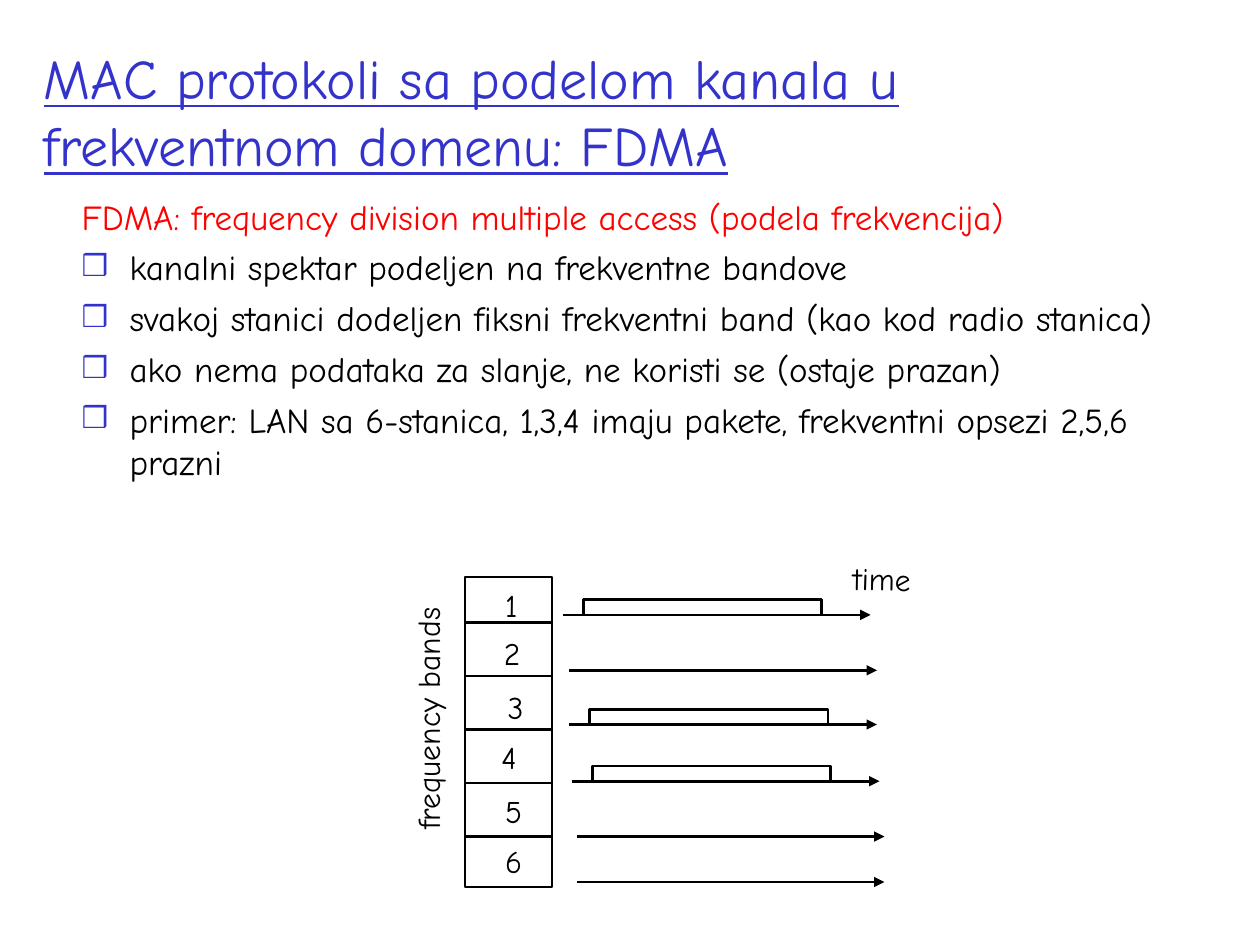
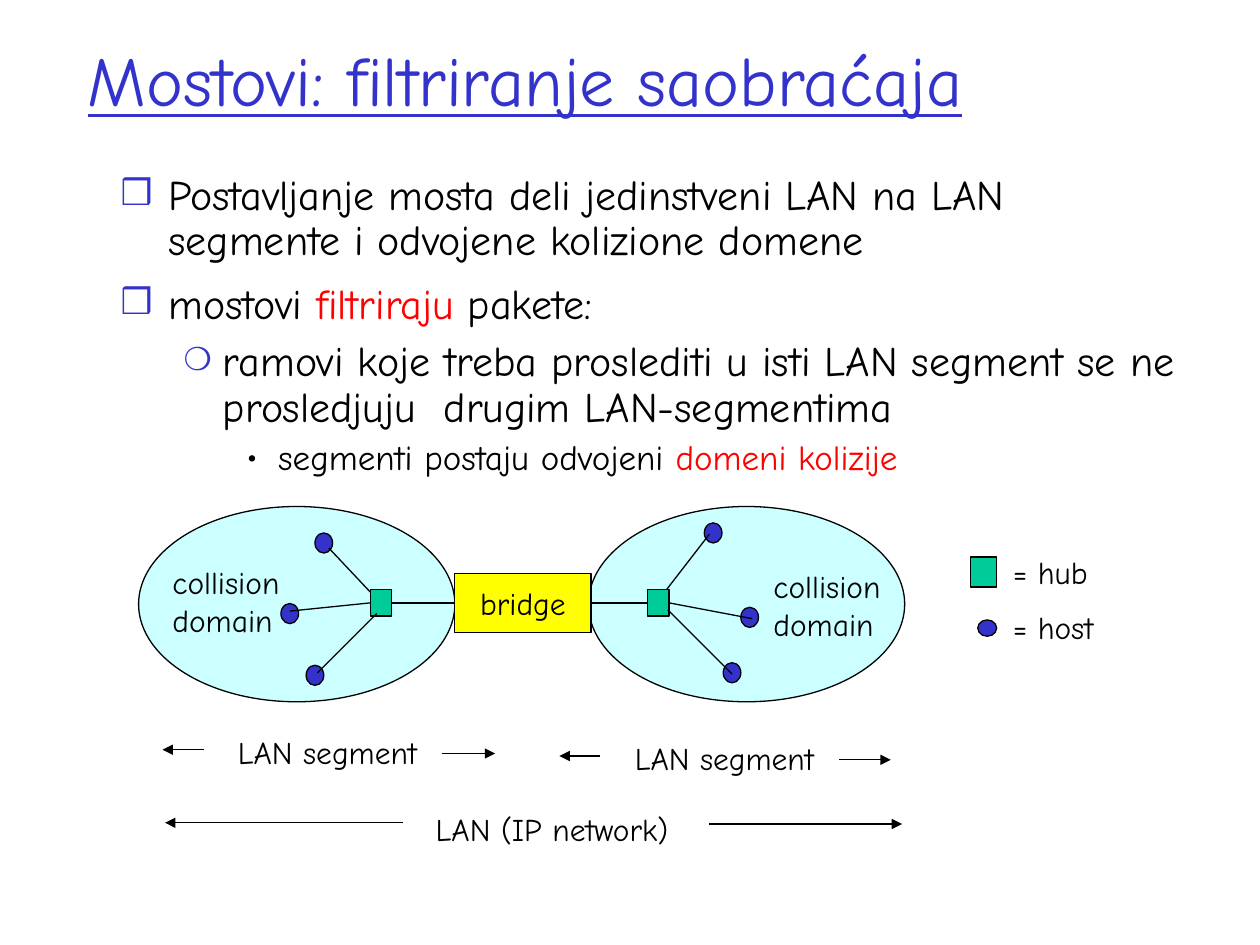
from dataclasses import dataclass

from lxml.etree import SubElement
from pptx import Presentation
from pptx.dml.color import RGBColor
from pptx.enum.shapes import MSO_CONNECTOR as Connector, MSO_SHAPE as Preset
from pptx.enum.text import MSO_ANCHOR as Anchor, MSO_AUTO_SIZE as AutoSize, PP_ALIGN as Align
from pptx.oxml.ns import qn
from pptx.util import Inches, Pt

FONT = "Comic Neue"
COLORS = {
    "blue": "3333CC", "red": "FF0000", "black": "000000", "white": "FFFFFF",
    "domain": "CCFFFF", "bridge": "FFFF00", "hub": "00CC99",
}
THIN, THICK = 0.75, 1.5
LABEL_SIZE = 18


@dataclass(frozen=True)
class Bullet:
    char: str
    color: str
    percent: int
    margin: float
    indent: float


@dataclass(frozen=True)
class Paragraph:
    runs: tuple[tuple[str, str], ...]
    size: float
    before: float
    bullet: Bullet | None
    level: int = 0
    spacing: float = 1.0


@dataclass(frozen=True)
class Band:
    number: str
    label_left: float
    label_top: float
    axis_left: float
    axis_y: float
    busy: bool


@dataclass(frozen=True)
class Spoke:
    """A host and the line that ties it to its hub."""
    host_left: float
    host_top: float
    hub_end: tuple[float, float]
    host_end: tuple[float, float]
    hub_side: int | None = None


@dataclass(frozen=True)
class Domain:
    left: float
    hub_left: float
    hub_side: int
    bridge_side: int
    label_left: float
    label_top: float
    spokes: tuple[Spoke, ...]


@dataclass(frozen=True)
class Extent:
    """A caption with an arrow leading away on each side."""
    text: str
    left: float
    top: float
    width: float
    left_arrow: tuple[float, float, float]
    right_arrow: tuple[float, float, float]


SQUARE = Bullet("❒", "blue", 85, 0.38, -0.38)
CIRCLE = Bullet("❍", "blue", 75, 0.81, -0.31)
DOT = Bullet("•", "black", 100, 1.25, -0.25)

FDMA_POINTS = (
    Paragraph((("FDMA: frequency division multiple access (podela frekvencija)", "red"),), 20, 5, None),
    *(Paragraph(((point, "black"),), 20, 5, SQUARE) for point in (
        "kanalni spektar podeljen na frekventne bandove",
        "svakoj stanici dodeljen fiksni frekventni band (kao kod radio stanica)",
        "ako nema podataka za slanje, ne koristi se (ostaje prazan)",
        "primer: LAN sa 6-stanica, 1,3,4 imaju pakete, frekventni opsezi 2,5,6 prazni",
    )),
)
BANDS = (
    Band("1", 3.91, 4.6, 4.47, 4.88, True),
    Band("2", 3.9, 4.98, 4.52, 5.32, False),
    Band("3", 3.93, 5.41, 4.52, 5.75, True),
    Band("4", 3.88, 5.81, 4.54, 6.2, True),
    Band("5", 3.91, 6.24, 4.58, 6.64, False),
    Band("6", 3.91, 6.63, 4.58, 7.0, False),
)

BRIDGE_POINTS = (
    Paragraph((("Postavljanje mosta deli jedinstveni LAN na LAN segmente i odvojene kolizione domene",
                "black"),), 24, 6, SQUARE, spacing=0.9),
    Paragraph((("mostovi ", "black"), ("filtriraju", "red"), (" pakete:", "black")),
              24, 10.5, SQUARE, spacing=0.9),
    Paragraph((("ramovi koje treba proslediti u isti LAN segment se ne prosledjuju  drugim LAN-segmentima",
                "black"),), 24, 7, CIRCLE, 1, 0.9),
    Paragraph((("segmenti postaju odvojeni ", "black"), ("domeni kolizije", "red")),
              20, 5, DOT, 2, 0.9),
)
DOMAINS = (
    Domain(1.1, 2.94, 3, 1, 1.27, 4.42, (
        Spoke(2.5, 4.23, (2.94, 4.7), (2.61, 4.35)),
        Spoke(2.23, 4.79, (2.94, 4.79), (2.3, 4.85), hub_side=1),
        Spoke(2.43, 5.28, (2.99, 4.87), (2.52, 5.34)),
    )),
    Domain(4.67, 5.14, 1, 3, 6.04, 4.45, (
        Spoke(5.59, 4.15, (5.29, 4.68), (5.63, 4.24)),
        Spoke(5.88, 4.82, (5.31, 4.78), (5.97, 4.91), hub_side=3),
        Spoke(5.74, 5.26, (5.3, 4.84), (5.81, 5.35)),
    )),
)
# Arrows are start x, end x, y
EXTENTS = (
    Extent("LAN (IP network)", 3.36, 6.38, 2.05, (3.2, 1.31, 6.53), (5.63, 7.16, 6.54)),
    Extent("LAN segment", 1.79, 5.77, 1.62, (1.62, 1.29, 5.95), (3.51, 3.93, 5.98)),
    Extent("LAN segment", 4.94, 5.82, 1.62, (4.76, 4.44, 6.0), (6.66, 7.07, 6.03)),
)


def rgb(color: str) -> RGBColor:
    return RGBColor.from_string(COLORS[color])


def add_run(paragraph, text: str, size: float, color: str = "black"):
    run = paragraph.add_run()
    run.text = text
    run.font.name, run.font.size = FONT, Pt(size)
    run.font.color.rgb = rgb(color)
    return run


def add_box(slide, left: float, top: float, width: float, height: float):
    return slide.shapes.add_textbox(Inches(left), Inches(top), Inches(width), Inches(height))


def add_title(slide, text: str, size: float, left: float, top: float, width: float) -> None:
    frame = add_box(slide, left, top, width, 1.25).text_frame
    frame.word_wrap = True
    frame.vertical_anchor = Anchor.MIDDLE
    add_run(frame.paragraphs[0], text, size, "blue").font.underline = True


def set_bullet(paragraph, bullet: Bullet) -> None:
    props = paragraph._p.get_or_add_pPr()
    color = SubElement(props, qn("a:buClr"))
    SubElement(color, qn("a:srgbClr"), val=COLORS[bullet.color])
    SubElement(props, qn("a:buSzPct"), val=str(bullet.percent * 1000))
    SubElement(props, qn("a:buFont"), typeface=FONT)
    SubElement(props, qn("a:buChar"), char=bullet.char)


def add_body(slide, points: tuple[Paragraph, ...], left: float, top: float,
             width: float, height: float) -> None:
    frame = add_box(slide, left, top, width, height).text_frame
    frame.word_wrap = True
    for index, point in enumerate(points):
        paragraph = frame.add_paragraph() if index else frame.paragraphs[0]
        paragraph.level = point.level
        paragraph.space_before = Pt(point.before)
        paragraph.line_spacing = point.spacing
        indents = point.bullet or SQUARE
        props = paragraph._p.get_or_add_pPr()
        props.set("marL", str(Inches(indents.margin)))
        props.set("indent", str(Inches(indents.indent)))
        if point.bullet:
            set_bullet(paragraph, point.bullet)
        for text, color in point.runs:
            add_run(paragraph, text, point.size, color)


def add_label(slide, lines: tuple[str, ...], left: float, top: float, width: float,
              rotation: float = 0) -> None:
    label = add_box(slide, left, top, width, 0.1 + 0.3 * len(lines))
    label.rotation = rotation
    frame = label.text_frame
    frame.word_wrap = False
    frame.auto_size = AutoSize.SHAPE_TO_FIT_TEXT
    for index, line in enumerate(lines):
        paragraph = frame.add_paragraph() if index else frame.paragraphs[0]
        add_run(paragraph, line, LABEL_SIZE)


def outline(shape, weight: float) -> None:
    shape.shadow.inherit = False
    shape.line.color.rgb = rgb("black")
    shape.line.width = Pt(weight)


def add_figure(slide, preset, fill: str, left: float, top: float, width: float,
               height: float, weight: float = THIN):
    figure = slide.shapes.add_shape(preset, Inches(left), Inches(top), Inches(width), Inches(height))
    figure.fill.solid()
    figure.fill.fore_color.rgb = rgb(fill)
    outline(figure, weight)
    return figure


def add_line(slide, start: tuple[float, float], end: tuple[float, float],
             weight: float = THIN, arrow: bool = False):
    line = slide.shapes.add_connector(Connector.STRAIGHT, *map(Inches, start + end))
    line.line.color.rgb = rgb("black")
    line.line.width = Pt(weight)
    if arrow:
        SubElement(line.line._get_or_add_ln(), qn("a:tailEnd"), type="triangle")
    SubElement(line._element.spPr, qn("a:effectLst"))
    return line


def add_pulse(slide, left: float, base: float) -> None:
    right, top = left + 1.89, base - 0.12
    builder = slide.shapes.build_freeform(Inches(left), Inches(base))
    corners = ((left, top), (right, top), (right, base))
    builder.add_line_segments([(Inches(x), Inches(y)) for x, y in corners], close=False)
    pulse = builder.convert_to_shape()
    pulse.fill.background()
    outline(pulse, THICK)


def build_fdma(slide) -> None:
    add_title(slide, "MAC protokoli sa podelom kanala u frekventnom domenu: FDMA", 32, 0.25, 0.25, 9.44)
    add_body(slide, FDMA_POINTS, 0.55, 1.5, 8.99, 5.08)

    # Column of frequency bands
    left, width = 3.69, 0.69
    add_figure(slide, Preset.RECTANGLE, "white", left, 4.58, width, 2.46, THICK)
    for index in range(len(BANDS) - 1):
        divider = 4.94 + 0.425 * index
        add_line(slide, (left, divider), (left + width, divider), THICK)

    # Time axis of each band, with a pulse where it sends
    for band in BANDS:
        add_line(slide, (band.axis_left, band.axis_y), (band.axis_left + 2.44, band.axis_y), THICK, True)
        if band.busy:
            add_pulse(slide, band.axis_left + 0.16, band.axis_y)
        add_label(slide, (band.number,), band.label_left, band.label_top, 0.32)
    add_label(slide, ("frequency bands",), 2.41, 5.5, 1.97, 270)
    add_label(slide, ("time",), 6.67, 4.39, 0.66, 1.1)


def build_bridges(slide) -> None:
    add_title(slide, "Mostovi: filtriranje saobraćaja", 40, 0.6, 0, 8.5)
    add_body(slide, BRIDGE_POINTS, 0.86, 1.33, 8.62, 2.57)

    # Collision domains lie behind the bridge
    for domain in DOMAINS:
        add_figure(slide, Preset.OVAL, "domain", domain.left, 4.02, 2.51, 1.55)
    bridge = add_figure(slide, Preset.RECTANGLE, "bridge", 3.61, 4.55, 1.08, 0.47)
    bridge.text_frame.word_wrap = False
    bridge.text_frame.vertical_anchor = Anchor.MIDDLE
    bridge_name = bridge.text_frame.paragraphs[0]
    bridge_name.alignment = Align.CENTER
    add_run(bridge_name, "bridge", LABEL_SIZE)

    # Hubs, hosts and their links
    for domain in DOMAINS:
        hub = add_figure(slide, Preset.RECTANGLE, "hub", domain.hub_left, 4.68, 0.17, 0.21)
        uplink = add_line(slide, (domain.hub_left, 4.78), (3.61, 4.78))
        uplink.begin_connect(hub, domain.hub_side)
        uplink.end_connect(bridge, domain.bridge_side)
        for spoke in domain.spokes:
            add_figure(slide, Preset.OVAL, "blue", spoke.host_left, spoke.host_top, 0.14, 0.16)
            link = add_line(slide, spoke.hub_end, spoke.host_end)
            if spoke.hub_side is not None:
                link.begin_connect(hub, spoke.hub_side)
        add_label(slide, ("collision", "domain"), domain.label_left, domain.label_top, 1.13)

    # Legend
    add_figure(slide, Preset.RECTANGLE, "hub", 7.7, 4.42, 0.21, 0.24)
    add_figure(slide, Preset.OVAL, "blue", 7.76, 4.92, 0.15, 0.13)
    for meaning, top in (("= hub", 4.34), ("= host", 4.78)):
        add_label(slide, (meaning,), 7.94, top, 0.86)

    # Extents of the segments and of the whole network
    for extent in EXTENTS:
        add_label(slide, (extent.text,), extent.left, extent.top, extent.width)
        for start, end, y in (extent.left_arrow, extent.right_arrow):
            add_line(slide, (start, y), (end, y), arrow=True)


def main() -> None:
    deck = Presentation()
    deck.slide_width, deck.slide_height = Inches(10), Inches(7.5)
    for build in (build_fdma, build_bridges):
        build(deck.slides.add_slide(deck.slide_layouts[6]))
    deck.save("out.pptx")


if __name__ == "__main__":
    main()
